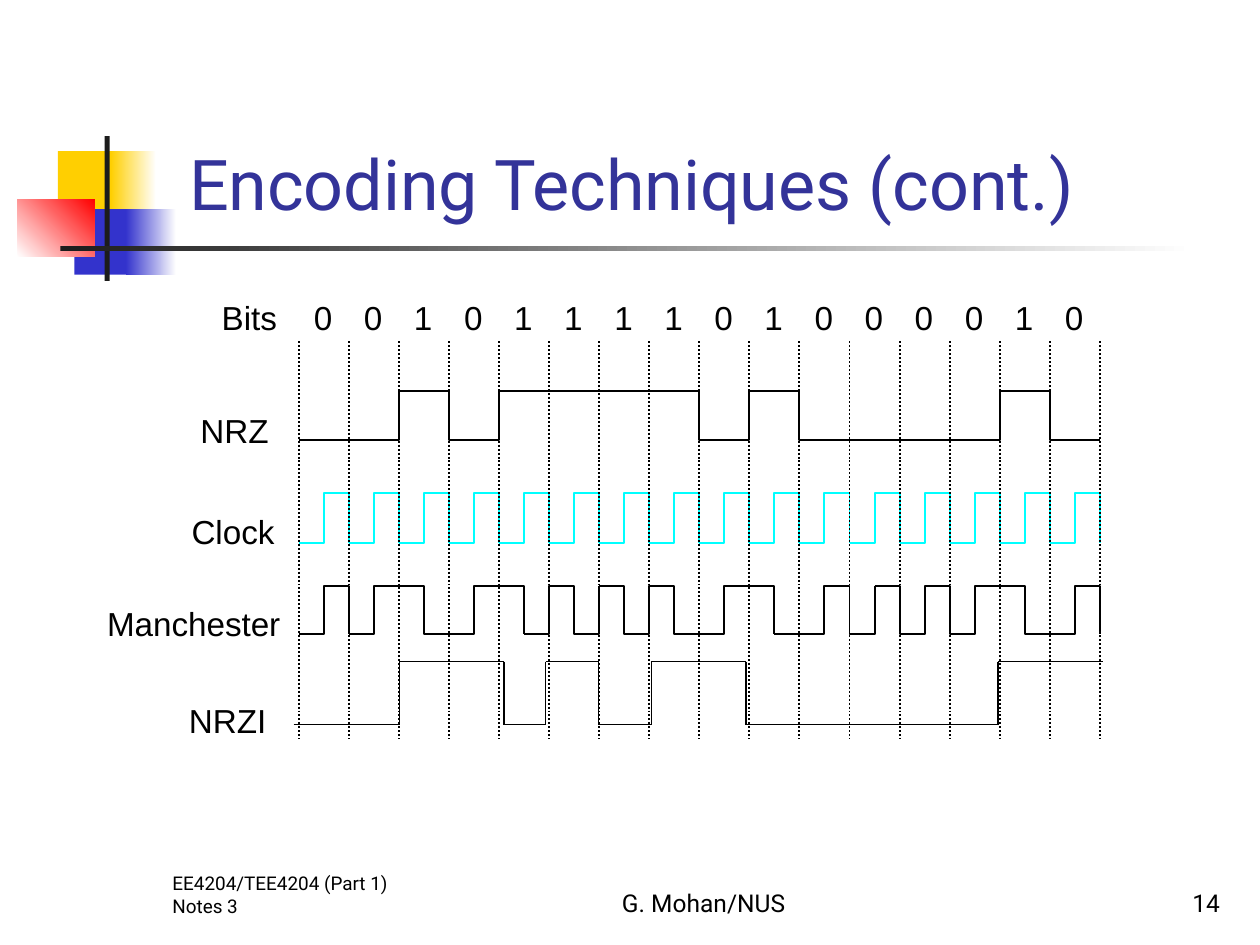
from itertools import accumulate, pairwise

from lxml import etree
from pptx import Presentation
from pptx import util as u
from pptx.dml.color import RGBColor
from pptx.enum import dml, shapes, text
from pptx.oxml import ns

BLACK = RGBColor(0x00, 0x00, 0x00)
WHITE = RGBColor(0xFF, 0xFF, 0xFF)
CHARCOAL = RGBColor(0x1C, 0x1C, 0x1C)
YELLOW = RGBColor(0xFF, 0xCF, 0x01)
BLUE = RGBColor(0x33, 0x33, 0xCC)
RED = RGBColor(0xFF, 0x00, 0x00)
INDIGO = RGBColor(0x33, 0x33, 0x99)
CYAN = RGBColor(0x00, 0xFF, 0xFF)

BITS = [int(bit) for bit in "0010111101000010"]
DIAGRAM_LEFT = 2.37
BIT_WIDTH = 6.36 / len(BITS)
HALF_BIT = BIT_WIDTH / 2


class SignalSlide:
    wave_width = u.Pt(1.13)
    nrzi_width = u.Pt(0.75)
    label_font = {"name": "Arial", "size": u.Pt(19)}
    heading_font = {"name": "Roboto", "size": u.Pt(40)}
    footer_font = {"name": "Roboto", "size": u.Pt(14)}
    note_font = {"name": "Roboto", "size": u.Pt(10.8)}
    label_frame = {
        "margin_left": 0, "margin_top": 0, "margin_right": 0, "margin_bottom": 0,
        "word_wrap": False, "auto_size": text.MSO_AUTO_SIZE.SHAPE_TO_FIT_TEXT,
    }
    bottom_frame = {"word_wrap": True, "vertical_anchor": text.MSO_ANCHOR.BOTTOM}

    def __init__(self, slide):
        self.slide = slide

    def apply(self, target, values):
        for name, value in values.items():
            setattr(target, name, value)

    def block(self, place, *colors, angle=0):
        rectangle = self.slide.shapes.add_shape(
            shapes.MSO_SHAPE.RECTANGLE, *map(u.Inches, place))
        rectangle.shadow.inherit = False
        rectangle.line.fill.background()
        if len(colors) == 1:
            rectangle.fill.solid()
            rectangle.fill.fore_color.rgb = colors[0]
            return
        rectangle.fill.gradient()
        rectangle.fill.gradient_angle = angle
        for stop, color in zip(rectangle.fill.gradient_stops, colors):
            stop.color.rgb = color

    def words(self, wording, place, font, frame, align=text.PP_ALIGN.LEFT, color=BLACK):
        box = self.slide.shapes.add_textbox(*map(u.Inches, place))
        self.apply(box.text_frame, frame)
        paragraph = box.text_frame.paragraphs[0]
        paragraph.alignment = align
        run = paragraph.add_run()
        run.text = wording
        self.apply(run.font, font)
        run.font.color.rgb = color

    def label(self, wording, left, top, width):
        self.words(wording, (left, top, width, 0.32), self.label_font, self.label_frame)

    def line(self, start, end, values):
        connector = self.slide.shapes.add_connector(
            shapes.MSO_CONNECTOR.STRAIGHT, *map(u.Inches, (*start, *end)))
        connector.line.color.rgb = BLACK
        self.apply(connector.line, values)
        etree.SubElement(connector._element.spPr, ns.qn("a:effectLst"))

    def wave(self, levels, first, last, low, high, color=BLACK):
        def point(index, level):
            return (u.Inches(DIAGRAM_LEFT + index * HALF_BIT),
                    u.Inches(high if level else low))

        corners = []
        for index in range(first + 1, last + 1):
            before, after = levels[index - 1], levels[index]
            if before != after or index == last:
                corners.append(point(index, before))
            if before != after:
                corners.append(point(index, after))
        builder = self.slide.shapes.build_freeform(*point(first, levels[first]))
        builder.add_line_segments(corners, close=False)
        outline = builder.convert_to_shape()
        outline.shadow.inherit = False
        outline.fill.background()
        outline.line.color.rgb = color
        outline.line.width = self.wave_width


def main():
    deck = Presentation()
    deck.slide_width, deck.slide_height = u.Inches(10), u.Inches(7.5)
    page = SignalSlide(deck.slides.add_slide(deck.slide_layouts[6]))

    page.block((0.46, 1.2, 0.48, 0.52), YELLOW)
    page.block((0.88, 1.2, 0.36, 0.52), YELLOW, WHITE)
    page.block((0.59, 1.66, 0.46, 0.52), BLUE)
    page.block((1, 1.66, 0.4, 0.52), BLUE, WHITE)
    page.block((0.14, 1.58, 0.61, 0.46), WHITE, RED, angle=45)
    page.block((0.83, 1.08, 0.04, 1.15), CHARCOAL)
    page.block((0.48, 1.95, 9, 0.04), CHARCOAL, WHITE)

    page.words("EE4204/TEE4204 (Part 1) Notes 3", (1.27, 6.83, 2.08, 0.5),
               page.note_font, page.bottom_frame)
    page.words("G. Mohan/NUS", (4, 6.83, 3.17, 0.5),
               page.footer_font, page.bottom_frame, text.PP_ALIGN.CENTER)
    page.words("14", (7.7, 6.83, 2.08, 0.5),
               page.footer_font, page.bottom_frame, text.PP_ALIGN.RIGHT)
    heading_frame = {**page.bottom_frame, "margin_left": u.Inches(0.24)}
    page.words("Encoding Techniques (cont.)", (1.26, 0.23, 8.52, 1.6),
               page.heading_font, heading_frame, color=INDIGO)

    for name, left, top, width in (
        ("Bits", 1.76, 2.36, 0.46),
        ("NRZ", 1.59, 3.26, 0.58),
        ("Clock", 1.52, 4.06, 0.68),
        ("Manchester", 0.85, 4.79, 1.4),
        ("NRZI", 1.5, 5.56, 0.66),
    ):
        page.label(name, left, top, width)

    clock = [0, 1] * len(BITS) + [0]
    nrz = [bit for bit in BITS for _ in range(2)] + [BITS[-1]]
    manchester = [bit ^ tick for bit, tick in zip(nrz, clock)]
    half_bits = 2 * len(BITS)

    for first, last in pairwise((0, 2, 9, 12, 19, 23, half_bits)):
        page.wave(manchester, first, last, low=5.03, high=4.65)
    for index, bit in enumerate(BITS):
        page.label(str(bit), 2.49 + index * BIT_WIDTH, 2.36, 0.15)
    page.wave(nrz, 0, half_bits, low=3.49, high=3.1)
    for first in range(0, half_bits, 2):
        page.wave(clock, first, first + 2, low=4.31, high=3.91, color=CYAN)

    dotted = {"width": page.wave_width, "dash_style": dml.MSO_LINE.ROUND_DOT}
    for index in range(len(BITS) + 1):
        x = DIAGRAM_LEFT + index * BIT_WIDTH
        page.line((x, 2.71), (x, 5.86), dotted)

    thin = {"width": page.nrzi_width}
    nrzi_levels = [0] + [level % 2 for level in accumulate(bit for bit in BITS if bit)]
    nrzi_edges = (2.33, 3.17, 4, 4.33, 4.75, 5.17, 5.92, 7.92, 8.75)
    for level, (start, end) in zip(nrzi_levels, pairwise(nrzi_edges)):
        y = 5.25 if level else 5.75
        page.line((start, y), (end, y), thin)
    for x in nrzi_edges[1:-1]:
        page.line((x, 5.25), (x, 5.75), thin)

    deck.save("out.pptx")


if __name__ == "__main__":
    main()
